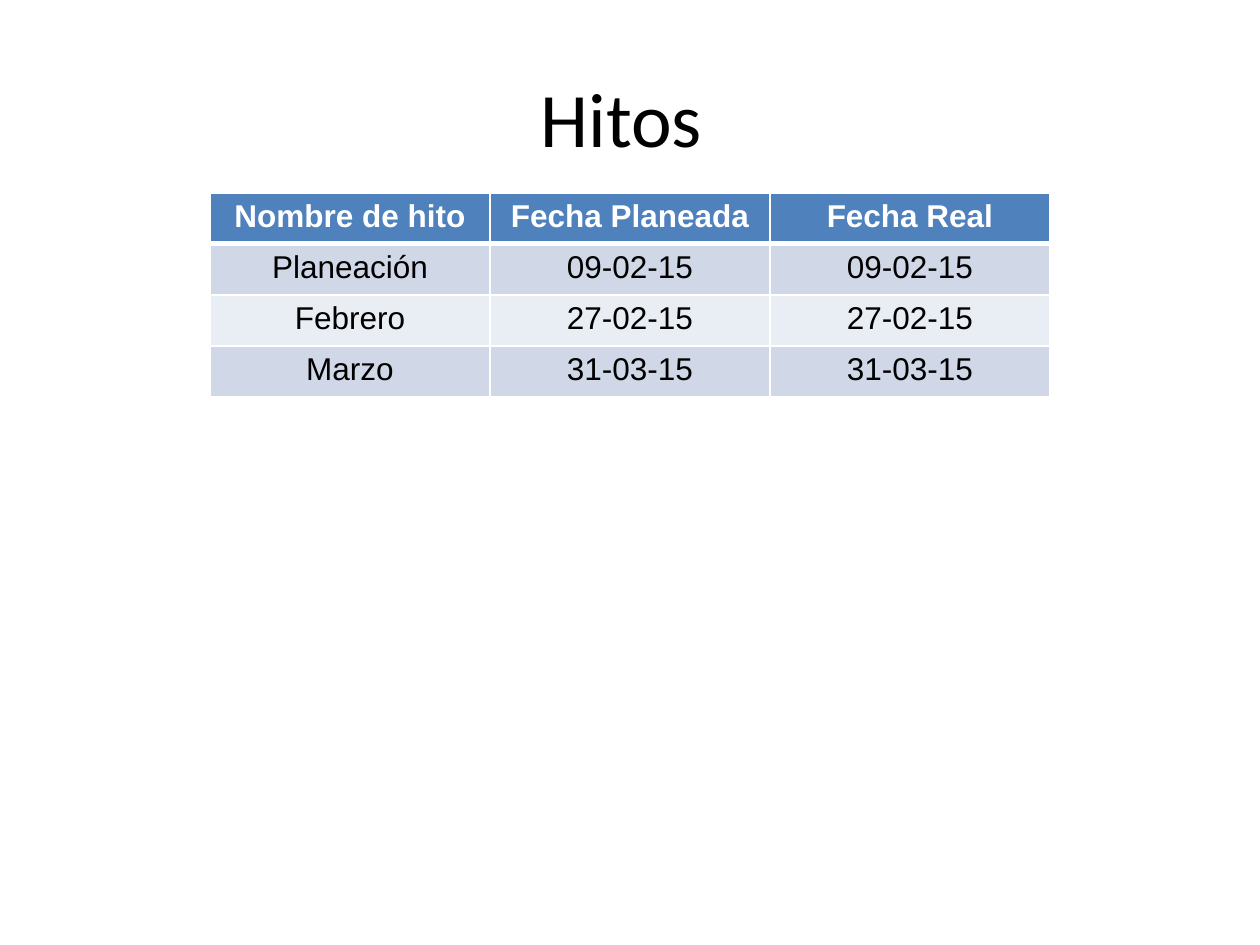
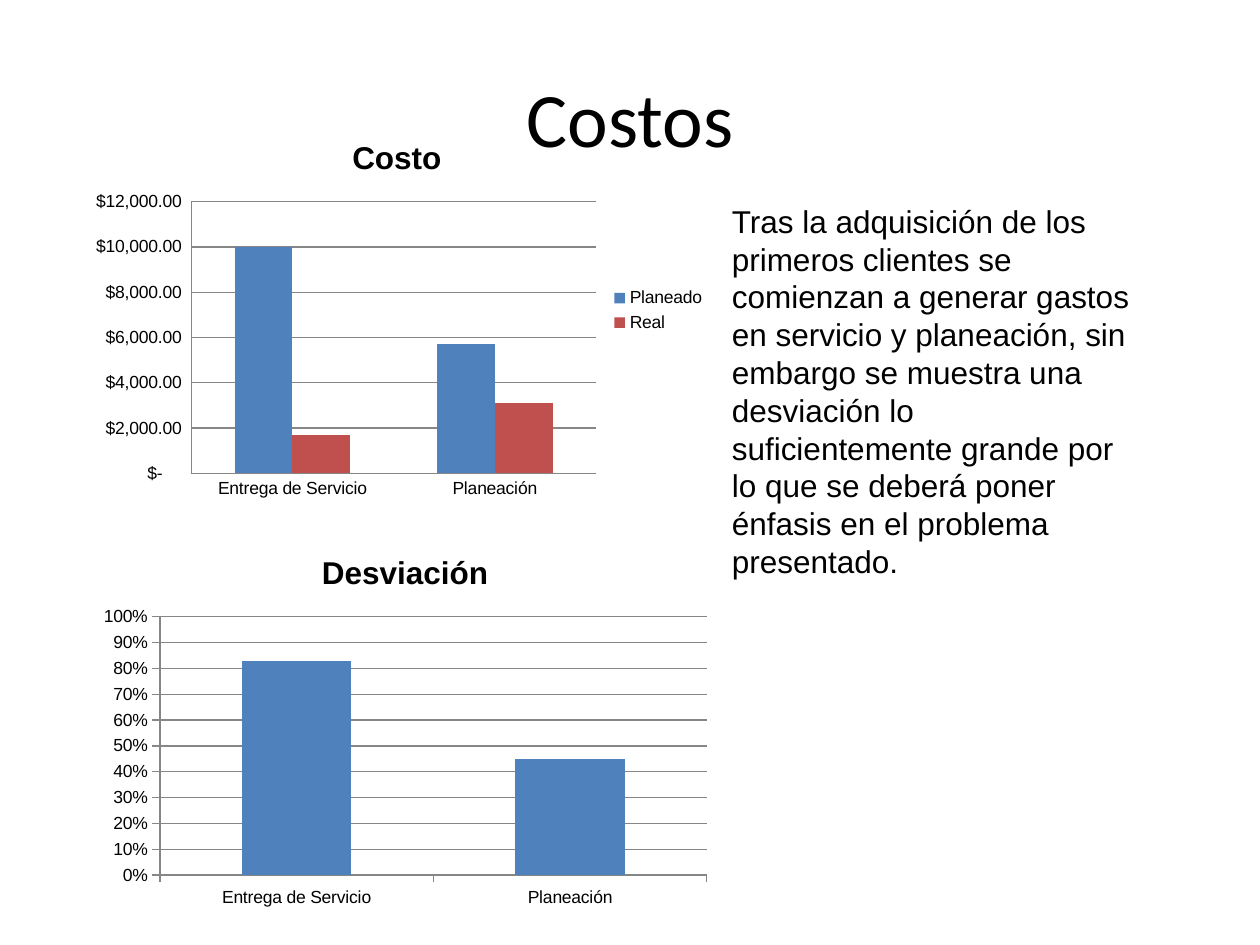
from lxml import etree
from pptx import Presentation
from pptx.chart.data import CategoryChartData
from pptx.dml.color import RGBColor
from pptx.enum.chart import XL_CHART_TYPE, XL_LEGEND_POSITION, XL_TICK_MARK
from pptx.enum.text import MSO_ANCHOR, MSO_AUTO_SIZE, PP_ALIGN
from pptx.oxml import parse_xml
from pptx.oxml.ns import nsdecls, qn
from pptx.util import Inches, Pt

LEFT, CENTER = PP_ALIGN.LEFT, PP_ALIGN.CENTER
MIDDLE, GROW = MSO_ANCHOR.MIDDLE, MSO_AUTO_SIZE.SHAPE_TO_FIT_TEXT
BARS = XL_CHART_TYPE.COLUMN_CLUSTERED
RIGHT = XL_LEGEND_POSITION.RIGHT
NO_TICK, OUT_TICK = XL_TICK_MARK.NONE, XL_TICK_MARK.OUTSIDE

BLACK = RGBColor(0x00, 0x00, 0x00)
WHITE = RGBColor(0xFF, 0xFF, 0xFF)
BLUE = RGBColor(0x4F, 0x81, 0xBD)
RED = RGBColor(0xC0, 0x50, 0x4D)
GRAY = RGBColor(0x86, 0x86, 0x86)
BANDS = (RGBColor(0xD0, 0xD8, 0xE8), RGBColor(0xE9, 0xED, 0xF4))

HEAD_FONT, BODY_FONT = "Calibri", "Arial"
WIDE, HIGH = 10, 7.5
TITLE_ONLY = 5
MONEY = r'_-"$"* #,##0.00_-;\-"$"* #,##0.00_-;_-"$"* "-"??_-;_-@_-'


def set_font(font, size=18, color=BLACK, bold=False, name=BODY_FONT):
    font.name, font.size, font.bold = name, Pt(size), bold
    font.color.rgb = color


def put_text(frame, text, align=LEFT, **style):
    part = frame.paragraphs[0]
    part.alignment = align
    run = part.add_run()
    run.text = text
    set_font(run.font, **style)


def edge_cell(cell, low):
    """Draw white borders, with the bottom one `low` points wide."""
    props = cell._tc.get_or_add_tcPr()
    for spot, (side, size) in enumerate(
            (("L", 1), ("R", 1), ("T", 1), ("B", low))):
        props.insert(spot, parse_xml(
            f'<a:ln{side} {nsdecls("a")} w="{Pt(size)}"><a:solidFill>'
            f'<a:srgbClr val="{WHITE}"/></a:solidFill></a:ln{side}>'))


def place_plot(chart, plot):
    """Fix the inner plot area, given as shares of the chart."""
    area = chart._chartSpace.chart.plotArea
    for old in area.findall(qn("c:layout")):
        area.remove(old)
    layout = etree.Element(qn("c:layout"))
    manual = etree.SubElement(layout, qn("c:manualLayout"))
    marks = [("layoutTarget", "inner"), ("xMode", "edge"), ("yMode", "edge")]
    for tag, val in marks + list(zip("xywh", plot)):
        etree.SubElement(manual, qn(f"c:{tag}")).set("val", str(val))
    area.insert(0, layout)


class Deck:
    def __init__(self):
        self.file = Presentation()
        self.file.slide_width = Inches(WIDE)
        self.file.slide_height = Inches(HIGH)
        self.slide = None

    def box(self, x, y, w, h):
        """Turn shares of the slide's size into lengths."""
        return (Inches(x * WIDE), Inches(y * HIGH),
                Inches(w * WIDE), Inches(h * HIGH))

    def start(self, title):
        layout = self.file.slide_layouts[TITLE_ONLY]
        self.slide = self.file.slides.add_slide(layout)
        head = self.slide.shapes.title
        head.left, head.top, head.width, head.height = self.box(
            0.05, 0.04, 0.9, 1 / 6)
        head.text_frame.vertical_anchor = MIDDLE
        put_text(head.text_frame, title, CENTER, size=44, name=HEAD_FONT)

    def note(self, text, *area):
        frame = self.slide.shapes.add_textbox(*self.box(*area)).text_frame
        frame.word_wrap, frame.auto_size = True, GROW
        put_text(frame, text)

    def table(self, rows, *area):
        grid = self.slide.shapes.add_table(
            len(rows), len(rows[0]), *self.box(*area)).table
        for r, row in enumerate(rows):
            top = r == 0
            for c, text in enumerate(row):
                cell = grid.cell(r, c)
                cell.fill.solid()
                cell.fill.fore_color.rgb = BLUE if top else BANDS[(r - 1) % 2]
                put_text(cell.text_frame, text, CENTER, bold=top,
                         color=WHITE if top else BLACK)
                edge_cell(cell, 3 if top else 1)

    def chart(self, title, series, *area, plot, form, tick, top, step,
              legend=False):
        data = CategoryChartData()
        data.categories = ["Entrega de Servicio", "Planeación"]
        for name, vals, _ in series:
            data.add_series(name, vals)
        chart = self.slide.shapes.add_chart(
            BARS, *self.box(*area), data).chart
        set_font(chart.font, size=10)
        chart.has_title = True
        put_text(chart.chart_title.text_frame, title, CENTER, bold=True)
        chart.chart_title.include_in_layout = False
        chart.has_legend = legend
        if legend:
            chart.legend.position = RIGHT
            chart.legend.include_in_layout = False
        bars = chart.plots[0]
        bars.gap_width, bars.vary_by_categories = 150, False
        for item, (_, _, color) in zip(bars.series, series):
            item.format.fill.solid()
            item.format.fill.fore_color.rgb = color
        for axis in (chart.category_axis, chart.value_axis):
            axis.major_tick_mark, axis.minor_tick_mark = tick, NO_TICK
            axis.format.line.color.rgb = GRAY
        scale = chart.value_axis
        scale.minimum_scale, scale.maximum_scale = 0, top
        scale.major_unit = step
        scale.has_major_gridlines = True
        scale.major_gridlines.format.line.color.rgb = GRAY
        scale.tick_labels.number_format = form
        scale.tick_labels.number_format_is_linked = False
        place_plot(chart, plot)


def main():
    deck = Deck()

    deck.start("Hitos ")
    days = (("Planeación", "09-02-15"), ("Febrero", "27-02-15"),
            ("Marzo", "31-03-15"))
    deck.table([("Nombre de hito", "Fecha Planeada", "Fecha Real")]
               + [(name, day, day) for name, day in days],
               1 / 6, 0.204, 2 / 3, 0.216)

    deck.start("Costos")
    deck.note("Tras la adquisición de los primeros clientes se comienzan a "
              "generar gastos en servicio y planeación, sin embargo se "
              "muestra una desviación lo suficientemente grande por lo que "
              "se deberá poner énfasis en el problema presentado.",
              0.571, 0.207, 0.346, 0.377)
    deck.chart("Costo",
               [("Planeado", (10000, 5700), BLUE),
                ("Real ", (1700, 3100), RED)],
               0.06, 0.123, 0.51, 0.411, plot=(0.18, 0.22, 0.63, 0.7),
               form=MONEY, tick=NO_TICK, top=12000, step=2000, legend=True)
    deck.chart("Desviación", [("Desviación", (0.83, 0.45), BLUE)],
               0.072, 0.563, 0.499, 0.408, plot=(0.11, 0.22, 0.87, 0.67),
               form="0%", tick=OUT_TICK, top=1, step=0.1)

    deck.file.save("out.pptx")


if __name__ == "__main__":
    main()
